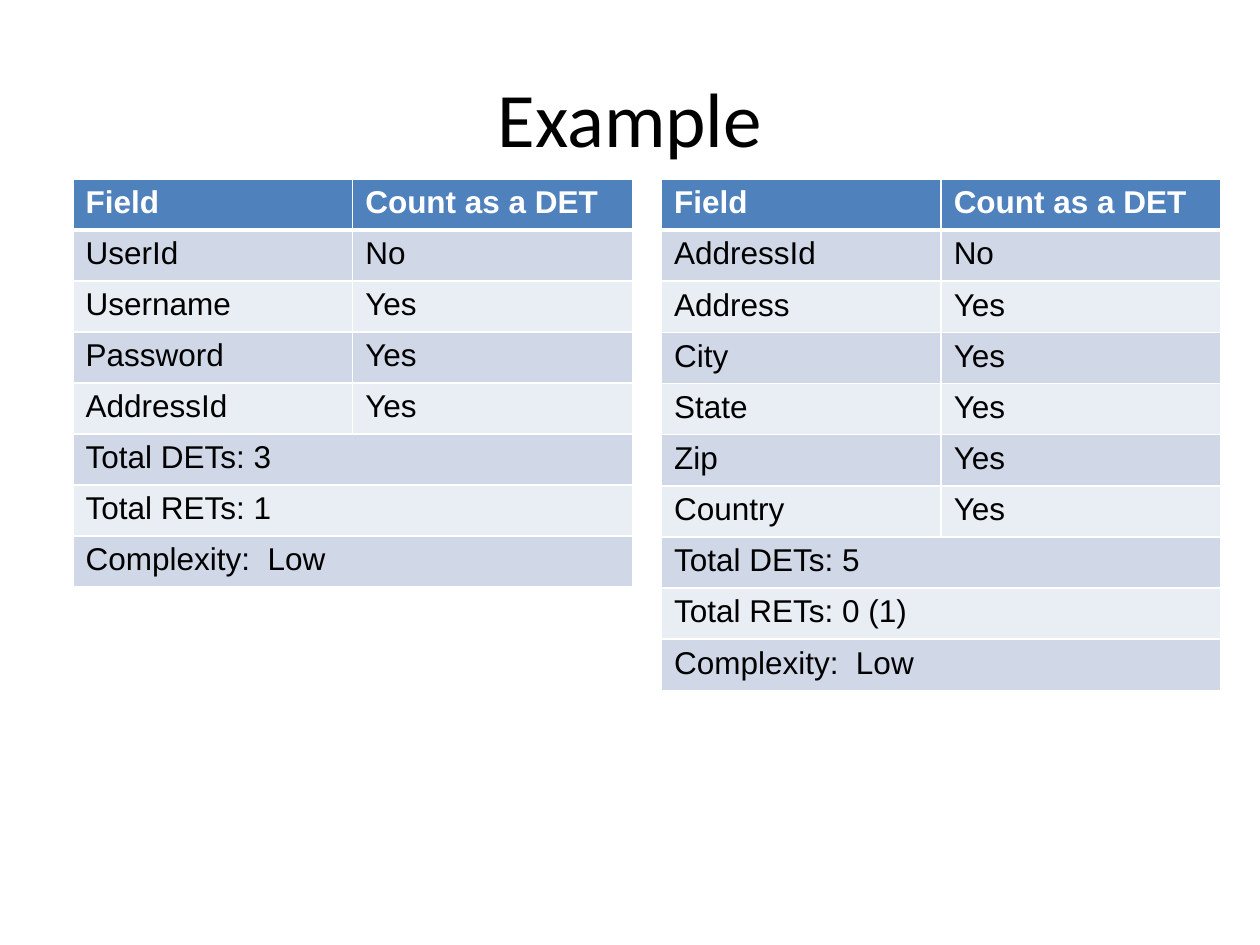
import pptx
import pptx.dml.color
import pptx.enum.text
import pptx.oxml
import pptx.oxml.ns
import pptx.util

Inches = pptx.util.Inches
Pt = pptx.util.Pt

COLORS = {
    "text": "000000",
    "header": "4F81BD",
    "header_text": "FFFFFF",
    "odd": "D0D8E8",
    "even": "E9EDF4",
    "border": "FFFFFF",
}
TITLE = "Example"
HEADER = ("Field", "Count as a DET")
# A row with a single entry spans both columns.
TABLES = [
    {
        "left": 0.58,
        "height": 3.24,
        "rows": [
            ("UserId", "No"),
            ("Username", "Yes"),
            ("Password", "Yes"),
            ("AddressId", "Yes"),
            ("Total DETs: 3",),
            ("Total RETs: 1",),
            ("Complexity:  Low",),
        ],
    },
    {
        "left": 5.25,
        "height": 4.06,
        "rows": [
            ("AddressId", "No"),
            ("Address", "Yes"),
            ("City", "Yes"),
            ("State", "Yes"),
            ("Zip", "Yes"),
            ("Country", "Yes"),
            ("Total DETs: 5",),
            ("Total RETs: 0 (1)",),
            ("Complexity:  Low",),
        ],
    },
]
TABLE_TOP, TABLE_WIDTH = 1.42, 4.44


def rgb(name):
    return pptx.dml.color.RGBColor.from_string(COLORS[name])


def write(p, text, color, **font):
    r = p.add_run()
    r.text = text
    r.font.color.rgb = rgb(color)
    for key, value in font.items():
        setattr(r.font, key, value)


def add_borders(cell, widths):
    """Draw cell borders, widths in points by side; call before filling the cell."""
    tc_pr = cell._tc.get_or_add_tcPr()
    for side, width in widths.items():
        tc_pr.append(pptx.oxml.parse_xml(
            f'<a:ln{side} {pptx.oxml.ns.nsdecls("a")} w="{Pt(width)}"><a:solidFill>'
            f'<a:srgbClr val="{COLORS["border"]}"/></a:solidFill></a:ln{side}>'))


def add_title(slide):
    tf = slide.shapes.add_textbox(Inches(0.5), Inches(0.3), Inches(9), Inches(1.25)).text_frame
    tf.word_wrap = True
    tf.vertical_anchor = pptx.enum.text.MSO_ANCHOR.MIDDLE
    p = tf.paragraphs[0]
    p.alignment = pptx.enum.text.PP_ALIGN.CENTER
    write(p, TITLE, "text", name="Calibri", size=Pt(44))


def add_field_table(slide, left, height, rows):
    rows = [HEADER, *rows]
    table = slide.shapes.add_table(
        len(rows), len(HEADER), Inches(left), Inches(TABLE_TOP),
        Inches(TABLE_WIDTH), Inches(height)).table
    for i, row in enumerate(rows):
        is_header = i == 0
        fill = "header" if is_header else "odd" if i % 2 else "even"
        widths = {"L": 1, "R": 1, "T": 3 if i == 1 else 1, "B": 3 if is_header else 1}
        for cell in table.rows[i].cells:
            add_borders(cell, widths)
            cell.fill.solid()
            cell.fill.fore_color.rgb = rgb(fill)
        if len(row) == 1:
            table.cell(i, 0).merge(table.cell(i, len(HEADER) - 1))
        for j, text in enumerate(row):
            write(table.cell(i, j).text_frame.paragraphs[0], text,
                  "header_text" if is_header else "text",
                  name="Arial", size=Pt(18), bold=is_header)


def main():
    prs = pptx.Presentation()
    prs.slide_width, prs.slide_height = Inches(10), Inches(7.5)
    slide = prs.slides.add_slide(prs.slide_layouts[6])
    add_title(slide)
    for table in TABLES:
        add_field_table(slide, **table)
    prs.save("out.pptx")


if __name__ == "__main__":
    main()
